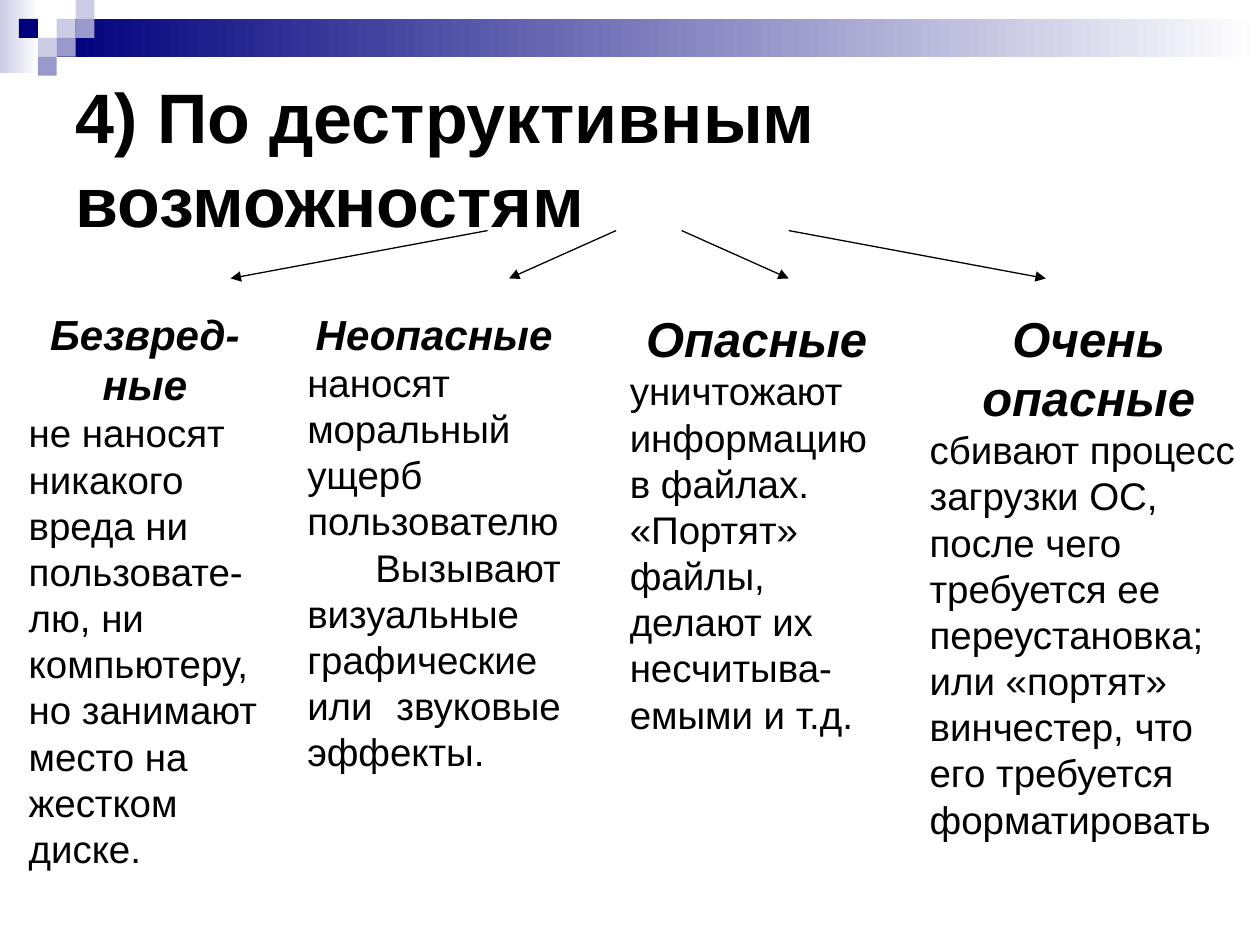
from lxml import etree
from pptx import Presentation
from pptx.dml.color import RGBColor
from pptx.enum import shapes, text
from pptx.oxml.ns import qn
from pptx.util import Inches, Pt

# Content
TITLE = "4) По деструктивным возможностям"
LEFT, CENTER, JUSTIFY = text.PP_ALIGN.LEFT, text.PP_ALIGN.CENTER, text.PP_ALIGN.JUSTIFY
# left, width, height, heading, heading size, body alignment, body paragraphs (text, indent)
COLUMNS = [
    (0.13, 2.04, 2.84, "Безвред-ные", 24, LEFT,
     [("не наносят никакого вреда ни пользовате-лю, ни компьютеру, "
       "но занимают место на жестком диске.", 0)]),
    (2.34, 2.21, 2.84, "Неопасные", 24, JUSTIFY,
     [("наносят моральный ущерб пользователю", 0),
      ("Вызывают визуальные графические или звуковые эффекты.", 0.54)]),
    (4.9, 2.21, 2.84, "Опасные", 28, LEFT,
     [("уничтожают информацию в файлах. «Портят» файлы, "
       "делают их несчитыва-емыми и т.д.", 0)]),
    (7.28, 2.72, 5.1, "Очень опасные", 28, LEFT,
     [("сбивают процесс загрузки ОС, после чего требуется ее переустановка; "
       "или «портят» винчестер, что его требуется форматировать", 0)]),
]
COLUMN_TOP = 2.4
ARROWS = [(3.87, 1.83), (4.89, 4.04), (5.41, 6.26), (6.26, 8.3)]  # start x, end x
ARROW_TOP, ARROW_BOTTOM = 1.83, 2.21

# Header decoration
NAVY, MID, PALE, WHITE, BLACK = "00007D", "9999CC", "CCCCE6", "FFFFFF", "000000"
BANDS = [(0, 0, 0.31, 0.58, PALE), (0.45, 0.15, 9.55, 0.3, NAVY)]
CELL = 0.15
SQUARES = [(3, 1, PALE), (4, 0, PALE), (4, 1, MID), (2, 2, PALE),
           (1, 1, NAVY), (3, 2, MID), (2, 3, MID)]  # column, row, colour


def rgb(value):
    return RGBColor.from_string(value)


def add_rect(s, x, y, w, h, color, fade=False):
    sp = s.shapes.add_shape(shapes.MSO_SHAPE.RECTANGLE, *map(Inches, (x, y, w, h)))
    sp.shadow.inherit = False
    sp.line.fill.background()
    if fade:
        sp.fill.gradient()
        sp.fill.gradient_angle = 0
        for stop, value in zip(sp.fill.gradient_stops, (color, WHITE)):
            stop.color.rgb = rgb(value)
    else:
        sp.fill.solid()
        sp.fill.fore_color.rgb = rgb(color)


def add_arrow(s, x1, x2):
    line = s.shapes.add_connector(shapes.MSO_CONNECTOR.STRAIGHT, Inches(x1),
                                  Inches(ARROW_TOP), Inches(x2), Inches(ARROW_BOTTOM))
    line.line.color.rgb = rgb(BLACK)
    line.line.width = Pt(0.75)
    etree.SubElement(line.line._get_or_add_ln(), qn("a:tailEnd"), type="triangle")
    etree.SubElement(line._element.spPr, qn("a:effectLst"))


def write(p, content, size, align=LEFT, bold=False, italic=False, indent=0):
    p.alignment = align
    p.space_before = p.space_after = Pt(0)
    if indent:
        p._p.get_or_add_pPr().set("indent", str(Inches(indent)))
    r = p.add_run()
    r.text = content
    for name, value in dict(name="Arial", size=Pt(size), bold=bold, italic=italic).items():
        setattr(r.font, name, value)
    r.font.color.rgb = rgb(BLACK)


def add_column(s, left, width, height, heading, size, align, body):
    box = s.shapes.add_textbox(*map(Inches, (left, COLUMN_TOP, width, height)))
    tf = box.text_frame
    tf.word_wrap = True
    write(tf.paragraphs[0], heading, size, CENTER, bold=True, italic=True)
    for content, indent in body:
        write(tf.add_paragraph(), content, 22, align, indent=indent)


def main():
    prs = Presentation()
    prs.slide_width, prs.slide_height = Inches(10), Inches(7.5)
    s = prs.slides.add_slide(prs.slide_layouts[5])

    # Header bands and squares
    for band in BANDS:
        add_rect(s, *band, fade=True)
    for col, row, color in SQUARES:
        add_rect(s, col * CELL, row * CELL, CELL, CELL, color)

    # Title
    title = s.shapes.title
    title.left, title.top, title.width, title.height = map(Inches, (0.5, 0.5, 9, 1.5))
    title.text_frame.word_wrap = True
    title.text_frame.auto_size = text.MSO_AUTO_SIZE.NONE
    title.text_frame.vertical_anchor = text.MSO_ANCHOR.MIDDLE
    write(title.text_frame.paragraphs[0], TITLE, 40, bold=True)

    # Arrows and the four classes
    for ends in ARROWS:
        add_arrow(s, *ends)
    for column in COLUMNS:
        add_column(s, *column)

    prs.save("out.pptx")


if __name__ == "__main__":
    main()
